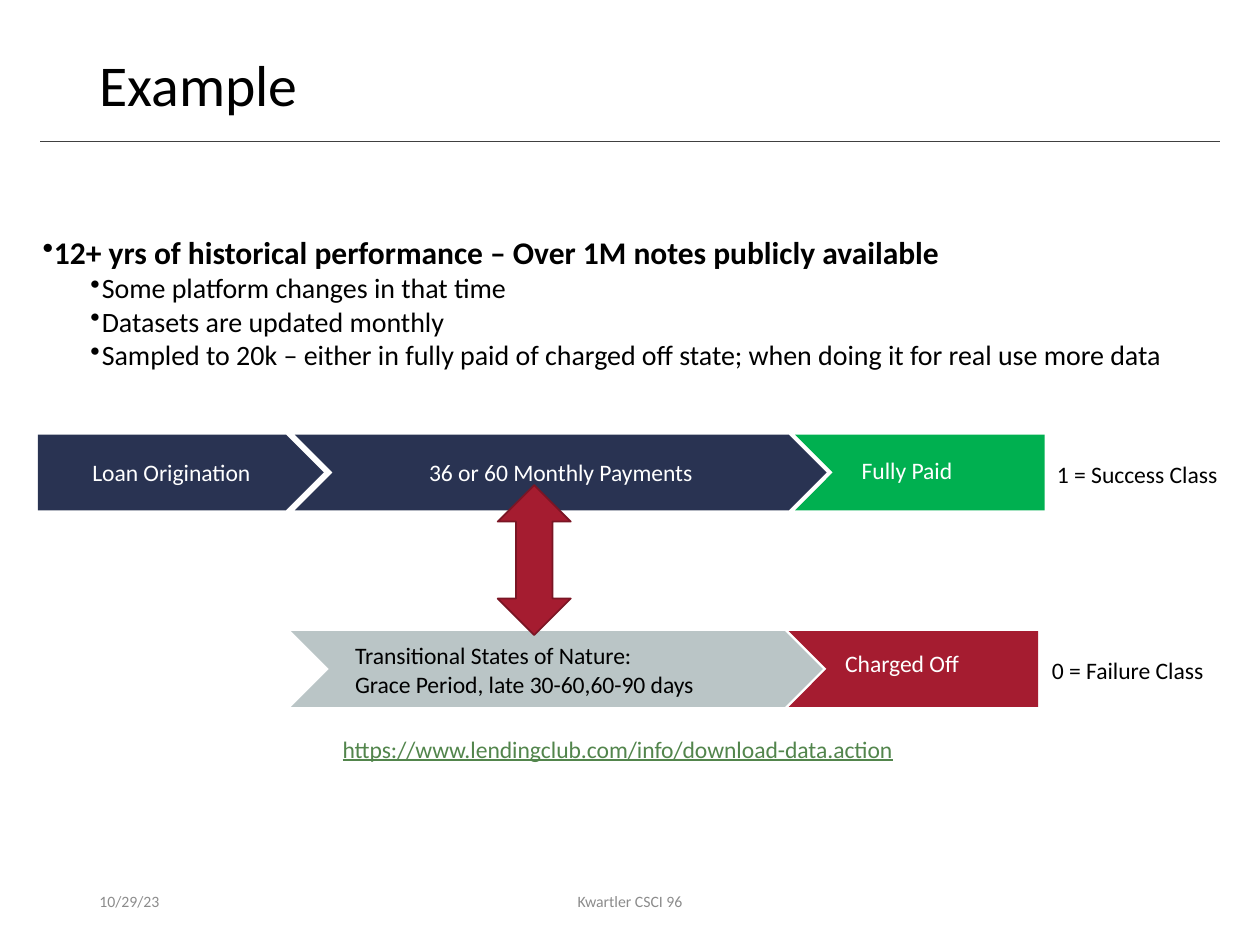
from dataclasses import dataclass
from typing import Any

import pptx
import pptx.dml.color
import pptx.enum.shapes
import pptx.enum.text
import pptx.oxml
import pptx.oxml.ns
import pptx.util
from lxml import etree

Inches = pptx.util.Inches
Shape = pptx.enum.shapes.MSO_SHAPE
Align = pptx.enum.text.PP_ALIGN
Anchor = pptx.enum.text.MSO_ANCHOR


@dataclass(frozen=True)
class Theme:
    font: str = "Calibri"
    black: str = "000000"
    white: str = "FFFFFF"
    muted: str = "8C8C8C"
    rule: str = "404040"
    link: str = "52854C"
    navy: str = "293352"
    silver: str = "BAC5C6"
    green: str = "00B050"
    crimson: str = "A51C30"
    dark_crimson: str = "7A1524"
    title_size: float = 33
    lead_size: float = 18
    detail_size: float = 16
    label_size: float = 13.5
    footer_size: float = 9


THEME = Theme()


@dataclass(frozen=True)
class Box:
    left: float
    top: float
    width: float
    height: float

    def lengths(self) -> list[int]:
        return [Inches(v) for v in (self.left, self.top, self.width, self.height)]


@dataclass(frozen=True)
class Line:
    text: str
    size: float = THEME.label_size
    color: str = THEME.black
    bold: bool = False
    underline: bool = False
    bullet_indent: float | None = None
    level: int = 0
    spacing: float = 1.0


@dataclass(frozen=True)
class Label:
    box: Box
    lines: tuple[Line, ...]
    align: Any = Align.LEFT
    anchor: Any = Anchor.TOP


@dataclass(frozen=True)
class Stage:
    kind: Any
    box: Box
    fill: str
    text: str = ""
    border: str | None = None


def rgb(value: str) -> pptx.dml.color.RGBColor:
    return pptx.dml.color.RGBColor.from_string(value)


def add_bullet(paragraph: Any, indent: float) -> None:
    properties = paragraph._p.get_or_add_pPr()
    properties.set("marL", str(Inches(indent)))
    properties.set("indent", str(Inches(-0.09)))
    bullet = etree.SubElement(properties, pptx.oxml.ns.qn("a:buChar"))
    bullet.set("char", "•")


def write_lines(frame: Any, lines: tuple[Line, ...], align: Any) -> None:
    for index, line in enumerate(lines):
        paragraph = frame.paragraphs[0] if index == 0 else frame.add_paragraph()
        paragraph.level = line.level
        paragraph.alignment = align
        paragraph.line_spacing = line.spacing
        if line.bullet_indent is not None:
            add_bullet(paragraph, line.bullet_indent)
        run = paragraph.add_run()
        run.text = line.text
        formats = {
            "name": THEME.font,
            "size": pptx.util.Pt(line.size),
            "bold": line.bold,
            "underline": line.underline,
        }
        for name, value in formats.items():
            setattr(run.font, name, value)
        run.font.color.rgb = rgb(line.color)


def add_label(slide: Any, label: Label) -> None:
    frame = slide.shapes.add_textbox(*label.box.lengths()).text_frame
    frame.word_wrap = True
    frame.vertical_anchor = label.anchor
    if label.align == Align.LEFT:
        frame.margin_right = 0
    write_lines(frame, label.lines, label.align)


def paint(shape: Any, fill: str, border: str | None = None) -> None:
    shape.shadow.inherit = False
    shape.fill.solid()
    shape.fill.fore_color.rgb = rgb(fill)
    if border is None:
        shape.line.fill.background()
    else:
        shape.line.color.rgb = rgb(border)
        shape.line.width = pptx.util.Pt(1)


def add_stage(slide: Any, stage: Stage) -> None:
    shape = slide.shapes.add_shape(stage.kind, *stage.box.lengths())
    paint(shape, stage.fill, stage.border)
    if stage.text:
        shape.text_frame.vertical_anchor = Anchor.MIDDLE
        write_lines(shape.text_frame, (Line(stage.text, color=THEME.white),), Align.CENTER)


def add_outcome(slide: Any, box: Box, fill: str) -> None:
    """Draw a bar with a notch in its left edge."""
    right, bottom = box.left + box.width, box.top + box.height
    notch = (box.left + box.height / 2, box.top + box.height / 2)
    builder = slide.shapes.build_freeform(Inches(box.left), Inches(box.top))
    corners = [(right, box.top), (right, bottom), (box.left, bottom), notch]
    builder.add_line_segments([(Inches(x), Inches(y)) for x, y in corners])
    paint(builder.convert_to_shape(), fill)


def add_rule(slide: Any) -> None:
    ends = [Inches(v) for v in (0.32, 1.12, 9.68, 1.12)]
    rule = slide.shapes.add_connector(pptx.enum.shapes.MSO_CONNECTOR.STRAIGHT, *ends)
    rule.line.color.rgb = rgb(THEME.rule)
    rule.line.width = pptx.util.Pt(0.5)
    etree.SubElement(rule._element.spPr, pptx.oxml.ns.qn("a:effectLst"))


def detail(text: str) -> Line:
    return Line(text, THEME.detail_size, bullet_indent=0.47, level=1)


def footer(left: float, width: float, text: str, align: Any) -> Label:
    line = Line(text, THEME.footer_size, THEME.muted)
    return Label(Box(left, 6.95, width, 0.4), (line,), align, Anchor.MIDDLE)


PAID_TOP, FAILED_TOP, BAR = 3.45, 5.01, 0.6
STAGES = (
    Stage(Shape.CHEVRON, Box(2.31, FAILED_TOP, 4.22, BAR), THEME.silver),
    Stage(Shape.PENTAGON, Box(0.3, PAID_TOP, 2.27, BAR), THEME.navy, "Loan Origination"),
    Stage(Shape.CHEVRON, Box(2.34, PAID_TOP, 4.22, BAR), THEME.navy, "36 or 60 Monthly Payments"),
)
TRANSITION = Stage(Shape.UP_DOWN_ARROW, Box(3.95, 3.85, 0.58, 1.19), THEME.crimson,
                   border=THEME.dark_crimson)
OUTCOMES = (
    (Box(6.31, PAID_TOP, 1.98, BAR), THEME.green),
    (Box(6.26, FAILED_TOP, 1.98, BAR), THEME.crimson),
)
LABELS = (
    Label(Box(0.69, 0.4, 8.62, 0.65), (Line("Example", THEME.title_size, spacing=0.9),)),
    Label(Box(0.24, 1.8, 9.46, 1.48), (
        Line("12+ yrs of historical performance – Over 1M notes publicly available",
             THEME.lead_size, bold=True, bullet_indent=0.09),
        detail("Some platform changes in that time"),
        detail("Datasets are updated monthly"),
        detail("Sampled to 20k – either in fully paid of charged off state; "
               "when doing it for real use more data"))),
    Label(Box(2.72, 5.04, 2.93, 0.56), (Line("Transitional States of Nature:"),
                                        Line("Grace Period, late 30-60,60-90 days"))),
    Label(Box(6.74, 3.57, 1.29, 0.45), (Line("Fully Paid", color=THEME.white),)),
    Label(Box(6.61, 5.1, 1.56, 0.45), (Line("Charged Off", color=THEME.white),)),
    Label(Box(8.29, 3.6, 1.49, 0.33), (Line("1 = Success Class"),)),
    Label(Box(8.25, 5.16, 1.42, 0.33), (Line("0 = Failure Class"),)),
    Label(Box(2.62, 5.78, 4.71, 0.33), (
        Line("https://www.lendingclub.com/info/download-data.action",
             color=THEME.link, underline=True),)),
    footer(0.69, 2.25, "10/29/23", Align.LEFT),
    footer(3.31, 3.38, "Kwartler CSCI 96", Align.CENTER),
)


def main() -> None:
    presentation = pptx.Presentation()
    presentation.slide_width, presentation.slide_height = Inches(10), Inches(7.5)
    slide = presentation.slides.add_slide(presentation.slide_layouts[6])
    add_rule(slide)
    for stage in STAGES:
        add_stage(slide, stage)
    for box, fill in OUTCOMES:
        add_outcome(slide, box, fill)
    add_stage(slide, TRANSITION)
    for label in LABELS:
        add_label(slide, label)
    presentation.save("out.pptx")


if __name__ == "__main__":
    main()
